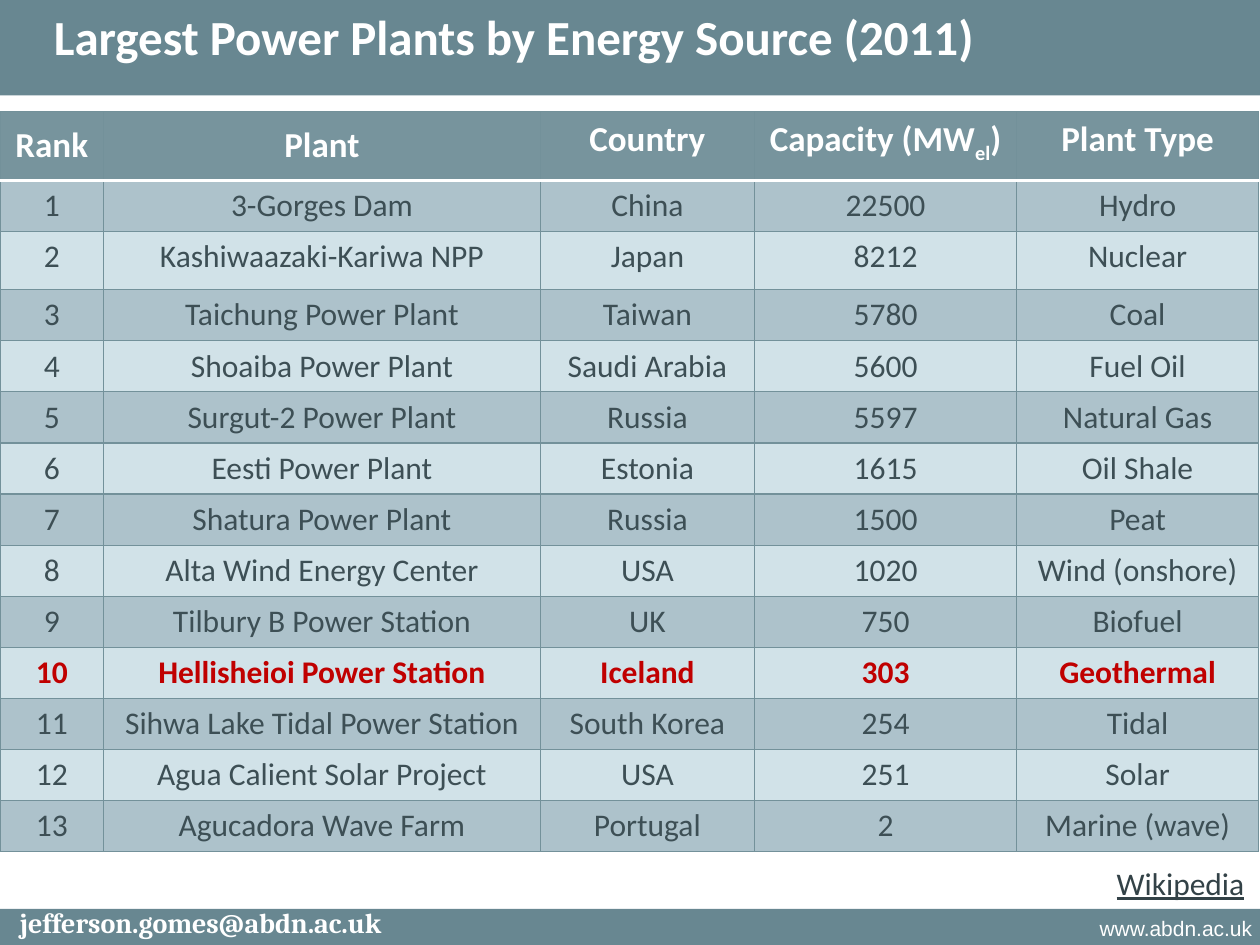
from dataclasses import dataclass

from lxml import etree
from pptx import Presentation
from pptx import util as u
from pptx.dml import color
from pptx.enum import shapes, text
from pptx.oxml import ns


@dataclass(frozen=True)
class Theme:
    band: str = "688791"
    header: str = "77949D"
    odd_row: str = "ADC2CB"
    even_row: str = "D1E2E8"
    border: str = "73919A"
    white: str = "FFFFFF"
    body: str = "3D4F55"
    accent: str = "C00000"
    source: str = "334247"
    title_size: int = 28
    header_size: int = 20
    body_size: int = 18
    email_size: int = 16
    web_size: int = 12


THEME = Theme()
CENTER, RIGHT, LEFT = text.PP_ALIGN.CENTER, text.PP_ALIGN.RIGHT, text.PP_ALIGN.LEFT
HIGHLIGHTED_RANK = 10
COLUMN_WIDTHS = [59.25, 249.5, 122.5, 149.75, 138.25]
HEADER_HEIGHT, ROW_HEIGHT, TALL_ROW_HEIGHT = 39.4, 29.1, 33.2
TALL_RANK = 2
HEADINGS = ["Rank", "Plant", "Country", "Capacity (MW", "Plant Type"]
PLANTS = [
    ("3-Gorges Dam", "China", "22500", "Hydro"),
    ("Kashiwaazaki-Kariwa NPP", "Japan", "8212", "Nuclear"),
    ("Taichung Power Plant", "Taiwan", "5780", "Coal"),
    ("Shoaiba Power Plant", "Saudi Arabia", "5600", "Fuel Oil"),
    ("Surgut-2 Power Plant", "Russia", "5597", "Natural Gas"),
    ("Eesti Power Plant", "Estonia", "1615", "Oil Shale"),
    ("Shatura Power Plant", "Russia", "1500", "Peat"),
    ("Alta Wind Energy Center", "USA", "1020", "Wind (onshore)"),
    ("Tilbury B Power Station", "UK", "750", "Biofuel"),
    ("Hellisheioi Power Station", "Iceland", "303", "Geothermal"),
    ("Sihwa Lake Tidal Power Station", "South Korea", "254", "Tidal"),
    ("Agua Calient Solar Project", "USA", "251", "Solar"),
    ("Agucadora Wave Farm", "Portugal", "2", "Marine (wave)"),
]


def rgb(value):
    return color.RGBColor.from_string(value)


def font_format(size, fill, name="Calibri", bold=False, underline=False):
    return {"size": u.Pt(size), "name": name, "bold": bold,
            "underline": underline, "fill": fill}


def apply_font(font, values):
    for key, value in values.items():
        if key == "fill":
            font.color.rgb = rgb(value)
        else:
            setattr(font, key, value)


def write(frame, wording, values, alignment=CENTER):
    paragraph = frame.paragraphs[0]
    paragraph.alignment = alignment
    run = paragraph.add_run()
    run.text = wording
    apply_font(run.font, values)
    return paragraph


def add_band(slide, top, height):
    shape = slide.shapes.add_shape(shapes.MSO_SHAPE.RECTANGLE,
                                   0, u.Pt(top), u.Pt(720), u.Pt(height))
    shape.shadow.inherit = False
    shape.fill.solid()
    shape.fill.fore_color.rgb = rgb(THEME.band)
    shape.line.fill.background()


def add_label(slide, box, wording, values, alignment, wrap=True, right_inset=7.2):
    shape = slide.shapes.add_textbox(*map(u.Pt, box))
    shape.text_frame.word_wrap = wrap
    shape.text_frame.margin_right = u.Pt(right_inset)
    return write(shape.text_frame, wording, values, alignment)


def set_title(slide, wording):
    title = slide.shapes.title
    box = {"left": 0.5, "top": 0, "width": 586, "height": 41}
    for key, value in box.items():
        setattr(title, key, u.Pt(value))
    title.text_frame.word_wrap = True
    title.text_frame.vertical_anchor = text.MSO_ANCHOR.TOP
    title.text_frame.auto_size = text.MSO_AUTO_SIZE.NONE
    write(title.text_frame, wording,
          font_format(THEME.title_size, THEME.white, bold=True))
    slide.shapes._spTree.append(title._element)


def set_borders(cell, edges):
    properties = cell._tc.get_or_add_tcPr()
    for index, (edge, (fill, width)) in enumerate(edges.items()):
        line = etree.Element(ns.qn(f"a:{edge}"), w=str(u.Pt(width)))
        solid = etree.SubElement(line, ns.qn("a:solidFill"))
        etree.SubElement(solid, ns.qn("a:srgbClr"), val=fill)
        properties.insert(index, line)


def fill_cell(cell, wording, fill, values, edges):
    cell.fill.solid()
    cell.fill.fore_color.rgb = rgb(fill)
    set_borders(cell, edges)
    return write(cell.text_frame, wording, values)


def add_subscript(paragraph, subscript, ending, values):
    for wording, baseline in ((subscript, "-25000"), (ending, "0")):
        run = paragraph.add_run()
        run.text = wording
        apply_font(run.font, values)
        run._r.get_or_add_rPr().set("baseline", baseline)


def add_plant_table(slide):
    heights = [HEADER_HEIGHT] + [
        TALL_ROW_HEIGHT if rank == TALL_RANK else ROW_HEIGHT
        for rank in range(1, len(PLANTS) + 1)]
    table = slide.shapes.add_table(
        len(heights), len(COLUMN_WIDTHS), 0, u.Pt(63.75),
        u.Pt(sum(COLUMN_WIDTHS)), u.Pt(sum(heights))).table
    for column, width in zip(table.columns, COLUMN_WIDTHS):
        column.width = u.Pt(width)
    for row, height in zip(table.rows, heights):
        row.height = u.Pt(height)

    thin, thick = (THEME.border, 0.75), (THEME.white, 2)
    edges = dict.fromkeys(("lnL", "lnR", "lnT", "lnB"), thin)
    heading_font = font_format(THEME.header_size, THEME.white, bold=True)
    for index, heading in enumerate(HEADINGS):
        cell = table.cell(0, index)
        paragraph = fill_cell(cell, heading, THEME.header, heading_font,
                              {**edges, "lnB": thick})
        if index < 2:
            cell.vertical_anchor = text.MSO_ANCHOR.MIDDLE
        if heading.startswith("Capacity"):
            add_subscript(paragraph, "el", ")", heading_font)

    for rank, plant in enumerate(PLANTS, 1):
        highlighted = rank == HIGHLIGHTED_RANK
        values = font_format(THEME.body_size,
                             THEME.accent if highlighted else THEME.body,
                             bold=highlighted)
        fill = THEME.odd_row if rank % 2 else THEME.even_row
        row_edges = {**edges, "lnT": thick} if rank == 1 else edges
        for index, wording in enumerate((str(rank), *plant)):
            fill_cell(table.cell(rank, index), wording, fill, values, row_edges)


def main():
    presentation = Presentation()
    presentation.slide_width, presentation.slide_height = u.Pt(720), u.Pt(540)
    slide = presentation.slides.add_slide(presentation.slide_layouts[5])
    add_band(slide, 519.4, 20.6)
    add_band(slide, 0, 54.5)
    add_label(slide, (535.75, 519.4, 184.25, 20.6), "www.abdn.ac.uk",
              font_format(THEME.web_size, THEME.white, "Arial"), RIGHT,
              right_inset=4.3)
    email = add_label(slide, (0, 516, 229.5, 24), "jefferson.gomes@abdn.ac.uk",
                      font_format(THEME.email_size, THEME.white, "Cambria", True),
                      CENTER)
    email.line_spacing = 0.9
    set_title(slide, "Largest Power Plants by Energy Source (2011)")
    add_plant_table(slide)
    add_label(slide, (631, 490, 88.5, 29), "Wikipedia",
              font_format(THEME.body_size, THEME.source, underline=True),
              LEFT, wrap=False)
    presentation.save("out.pptx")


if __name__ == "__main__":
    main()
